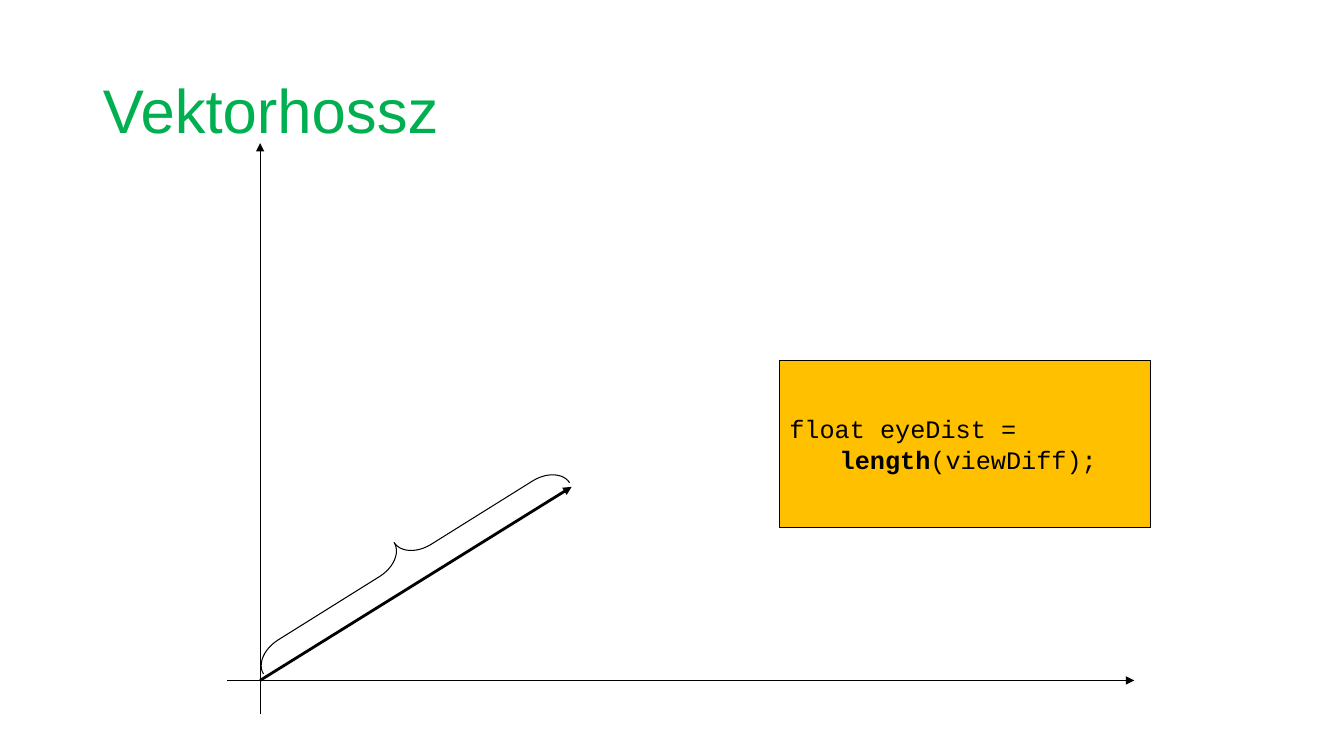
from dataclasses import dataclass

from lxml import etree
from pptx import Presentation
from pptx.dml.color import RGBColor
from pptx.enum.shapes import MSO_CONNECTOR, MSO_SHAPE
from pptx.enum.text import MSO_ANCHOR, PP_ALIGN
from pptx.oxml.ns import qn
from pptx.shapes.autoshape import Shape
from pptx.slide import Slide
from pptx.text.text import TextFrame, _Paragraph
from pptx.util import Inches, Pt

STRAIGHT = MSO_CONNECTOR.STRAIGHT
RECTANGLE = MSO_SHAPE.RECTANGLE
LEFT_BRACE = MSO_SHAPE.LEFT_BRACE
MIDDLE = MSO_ANCHOR.MIDDLE
LEFT = PP_ALIGN.LEFT


@dataclass(frozen=True)
class Theme:
    ink: RGBColor = RGBColor(0, 0, 0)
    title_green: RGBColor = RGBColor(0x00, 0xB0, 0x50)
    code_amber: RGBColor = RGBColor(0xFF, 0xC0, 0x00)
    title_font: str = "Arial"
    code_font: str = "Courier New"
    title_size: float = 44
    code_size: float = 18
    thin: float = 0.75
    thick: float = 2


@dataclass(frozen=True)
class Arrow:
    start: tuple[float, float]
    end: tuple[float, float]
    width: float


@dataclass(frozen=True)
class Box:
    left: float
    top: float
    width: float
    height: float


THEME = Theme()
ORIGIN_X, ORIGIN_Y = 2.58, 6.75
ARROWS = [
    Arrow((ORIGIN_X, 7.08), (ORIGIN_X, 1.42), THEME.thin),
    Arrow((2.25, ORIGIN_Y), (11.25, ORIGIN_Y), THEME.thin),
    Arrow((ORIGIN_X, ORIGIN_Y), (5.67, 4.83), THEME.thick),
]
TITLE_BOX = Box(0.92, 0.4, 11.5, 1.45)
CODE_BOX = Box(7.73, 3.58, 3.68, 1.65)
BRACE_BOX = Box(3.81, 3.77, 0.42, 3.58)
CODE_LINES = [
    [("float eyeDist =", False)],
    [("\t", False), ("length", True), ("(viewDiff);", False)],
]


def add_text(paragraph: _Paragraph, text: str, *, font: str, size: float,
             color: RGBColor, bold: bool = False) -> None:
    run = paragraph.add_run()
    run.text = text
    run.font.name = font
    run.font.size = Pt(size)
    run.font.color.rgb = color
    run.font.bold = bold


def add_arrow(slide: Slide, arrow: Arrow) -> None:
    ends = [Inches(value) for value in (*arrow.start, *arrow.end)]
    connector = slide.shapes.add_connector(STRAIGHT, *ends)
    connector.line.color.rgb = THEME.ink
    connector.line.width = Pt(arrow.width)
    head = etree.SubElement(connector.line._get_or_add_ln(), qn("a:tailEnd"))
    head.set("type", "triangle")
    etree.SubElement(connector._element.spPr, qn("a:effectLst"))


def add_outlined(slide: Slide, preset: MSO_SHAPE, box: Box) -> Shape:
    shape = slide.shapes.add_shape(
        preset, Inches(box.left), Inches(box.top),
        Inches(box.width), Inches(box.height))
    shape.shadow.inherit = False
    shape.fill.background()
    shape.line.color.rgb = THEME.ink
    shape.line.width = Pt(THEME.thin)
    return shape


def fill_title(slide: Slide) -> None:
    title = slide.shapes.title
    title.left, title.top = Inches(TITLE_BOX.left), Inches(TITLE_BOX.top)
    title.width, title.height = Inches(TITLE_BOX.width), Inches(TITLE_BOX.height)
    title.text_frame.vertical_anchor = MIDDLE
    heading = title.text_frame.paragraphs[0]
    heading.alignment = LEFT
    heading.line_spacing = 0.9
    add_text(heading, "Vektorhossz", font=THEME.title_font,
             size=THEME.title_size, color=THEME.title_green)


def write_code(frame: TextFrame) -> None:
    frame.word_wrap = False
    frame.vertical_anchor = MIDDLE
    for index, pieces in enumerate(CODE_LINES):
        code_line = frame.add_paragraph() if index else frame.paragraphs[0]
        code_line.alignment = LEFT
        for text, bold in pieces:
            add_text(code_line, text, font=THEME.code_font,
                     size=THEME.code_size, color=THEME.ink, bold=bold)


def main() -> None:
    deck = Presentation()
    deck.slide_width, deck.slide_height = Inches(13.33), Inches(7.5)
    slide = deck.slides.add_slide(deck.slide_layouts.get_by_name("Title Only"))
    fill_title(slide)
    for arrow in ARROWS:
        add_arrow(slide, arrow)

    code_panel = add_outlined(slide, RECTANGLE, CODE_BOX)
    code_panel.fill.solid()
    code_panel.fill.fore_color.rgb = THEME.code_amber
    write_code(code_panel.text_frame)

    length_brace = add_outlined(slide, LEFT_BRACE, BRACE_BOX)
    length_brace.rotation = 58
    length_brace.adjustments[0] = 0.72
    length_brace.adjustments[1] = 0.5
    deck.save("out.pptx")


if __name__ == "__main__":
    main()
